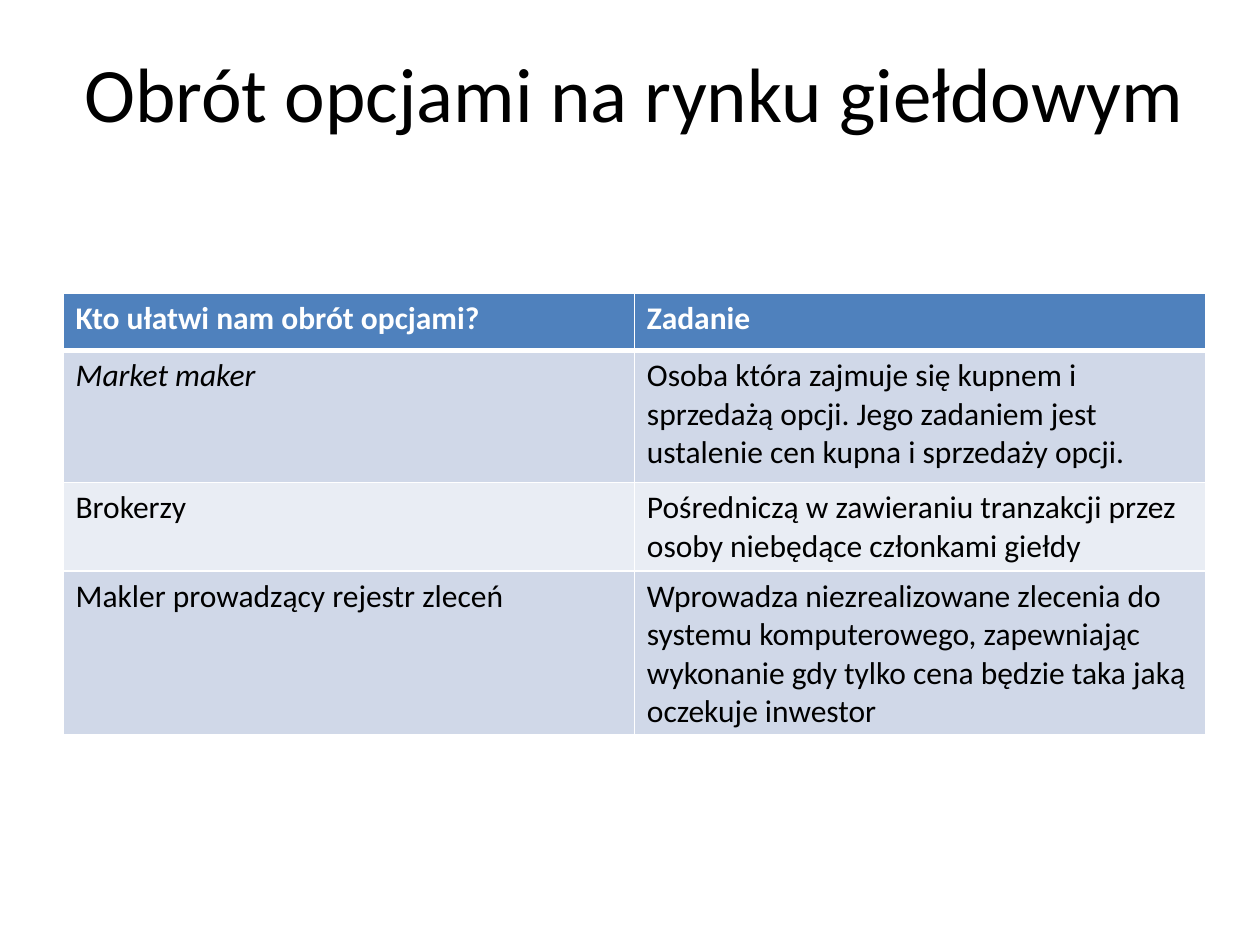
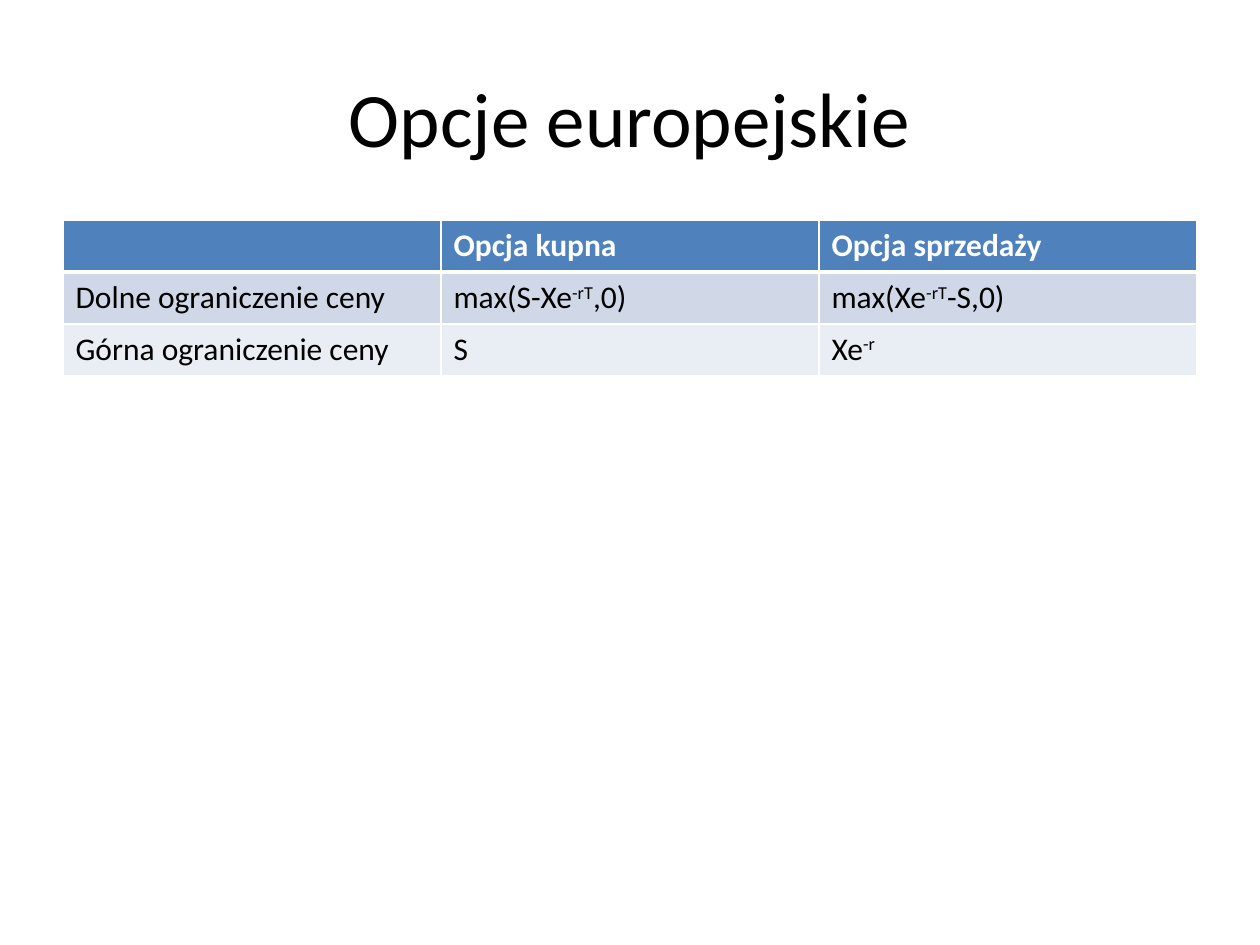
from lxml import etree
from pptx import Presentation
from pptx.dml.color import RGBColor
from pptx.enum.text import MSO_ANCHOR, PP_ALIGN
from pptx.oxml.ns import qn
from pptx.util import Inches, Pt

CENTER, LEFT = PP_ALIGN.CENTER, PP_ALIGN.LEFT
MIDDLE = MSO_ANCHOR.MIDDLE
BLACK = RGBColor(0x00, 0x00, 0x00)
WHITE = RGBColor(0xFF, 0xFF, 0xFF)
HEADER_BLUE = RGBColor(0x4F, 0x81, 0xBD)
BANDS = [RGBColor(0xE9, 0xED, 0xF4), RGBColor(0xD0, 0xD8, 0xE8)]
FONT = "Calibri"
MARGIN = 0.5
TITLE_TOP = 0.3

PAGES = [
    {
        "title": "Obrót opcjami na rynku giełdowym",
        "width": 9.07,
        "title_height": 0.85,
        "table_top": 2.33,
        "row_heights": [0.45, 1.05, 0.7, 1.3],
        "rows": [
            ["Kto ułatwi nam obrót opcjami?", "Zadanie"],
            ["Market maker",
             "Osoba która zajmuje się kupnem i sprzedażą opcji. "
             "Jego zadaniem jest ustalenie cen kupna i sprzedaży opcji."],
            ["Brokerzy",
             "Pośredniczą w zawieraniu tranzakcji przez osoby niebędące członkami giełdy"],
            ["Makler prowadzący rejestr zleceń",
             "Wprowadza niezrealizowane zlecenia do systemu komputerowego, zapewniając "
             "wykonanie gdy tylko cena będzie taka jaką oczekuje inwestor"],
        ],
        "italic": ["Market maker"],
    },
    {
        "title": "Opcje europejskie",
        "width": 9,
        "title_height": 1.25,
        "table_top": 1.75,
        "row_heights": [0.41] * 3,
        "rows": [
            ["", "Opcja kupna", "Opcja sprzedaży"],
            ["Dolne ograniczenie ceny", "max(S-Xe^-rT^,0)", "max(Xe^-rT^-S,0)"],
            ["Górna ograniczenie ceny", "S", "Xe^-r"],
        ],
        "italic": [],
    },
]


def write(frame, text, size=18, color=BLACK, bold=False, italic=False, align=LEFT):
    frame.word_wrap = True
    para = frame.paragraphs[0]
    para.alignment = align
    para.font.size = Pt(size)
    for index, part in enumerate(text.split("^")):
        if not part:
            continue
        span = para.add_run()
        span.text = part
        span.font.name = FONT
        span.font.size = Pt(size)
        span.font.color.rgb = color
        span.font.bold = bold
        span.font.italic = italic
        if index % 2:
            span.font._element.set("baseline", "30000")


def add_border(cell, side, points):
    line = etree.SubElement(cell._tc.get_or_add_tcPr(), qn(f"a:ln{side}"), w=str(Pt(points)))
    fill = etree.SubElement(line, qn("a:solidFill"))
    etree.SubElement(fill, qn("a:srgbClr"), val=str(WHITE))


deck = Presentation()
deck.slide_width, deck.slide_height = Inches(10), Inches(7.5)
blank = deck.slide_layouts[6]

for content in PAGES:
    page = deck.slides.add_slide(blank)
    width = Inches(content["width"])
    title_box = page.shapes.add_textbox(
        Inches(MARGIN), Inches(TITLE_TOP), width, Inches(content["title_height"]))
    title_box.text_frame.vertical_anchor = MIDDLE
    write(title_box.text_frame, content["title"], size=44, align=CENTER)

    rows, heights = content["rows"], content["row_heights"]
    table = page.shapes.add_table(
        len(rows), len(rows[0]), Inches(MARGIN), Inches(content["table_top"]),
        width, Inches(sum(heights))).table
    for row_index, row in enumerate(rows):
        table.rows[row_index].height = Inches(heights[row_index])
        header = row_index == 0
        for column_index, text in enumerate(row):
            cell = table.cell(row_index, column_index)
            for side in "LRTB":
                heavy = (header and side == "B") or (row_index == 1 and side == "T")
                add_border(cell, side, 3 if heavy else 1)
            cell.fill.solid()
            cell.fill.fore_color.rgb = HEADER_BLUE if header else BANDS[row_index % 2]
            write(cell.text_frame, text, color=WHITE if header else BLACK,
                  bold=header, italic=text in content["italic"])

deck.save("out.pptx")
